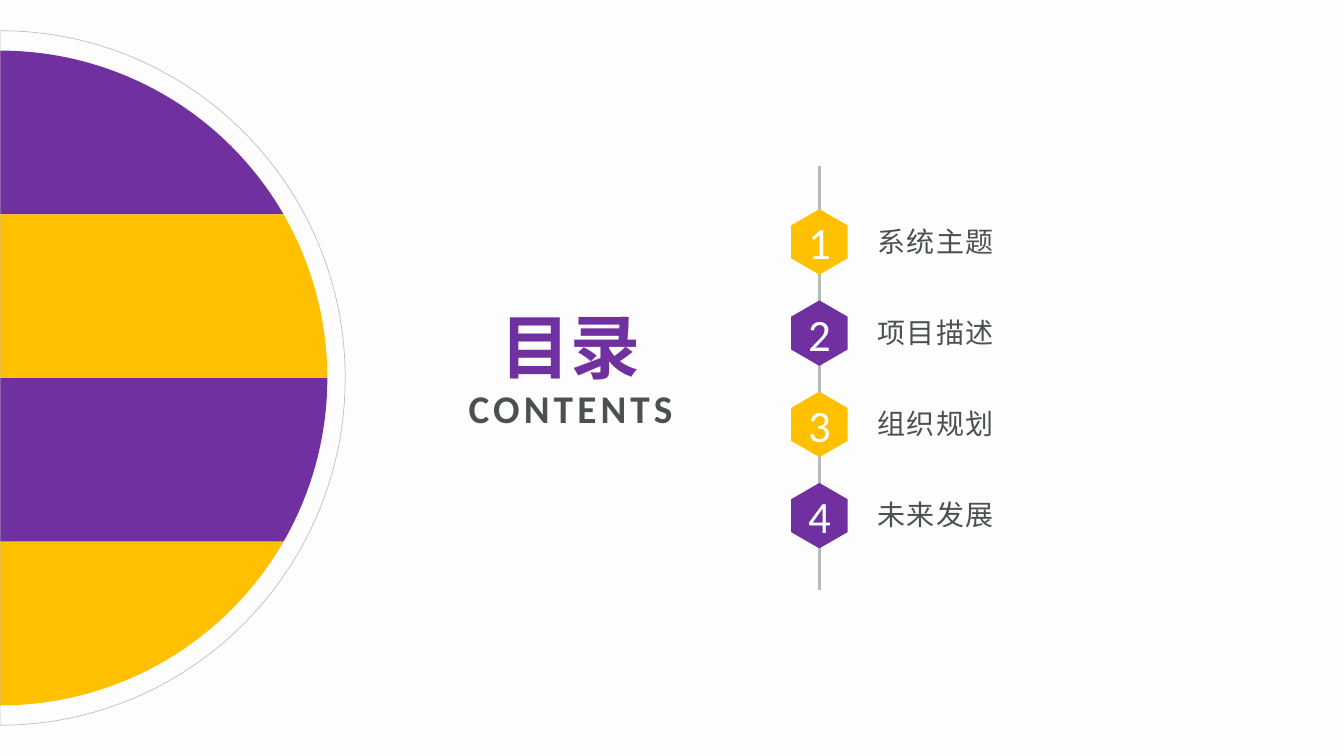
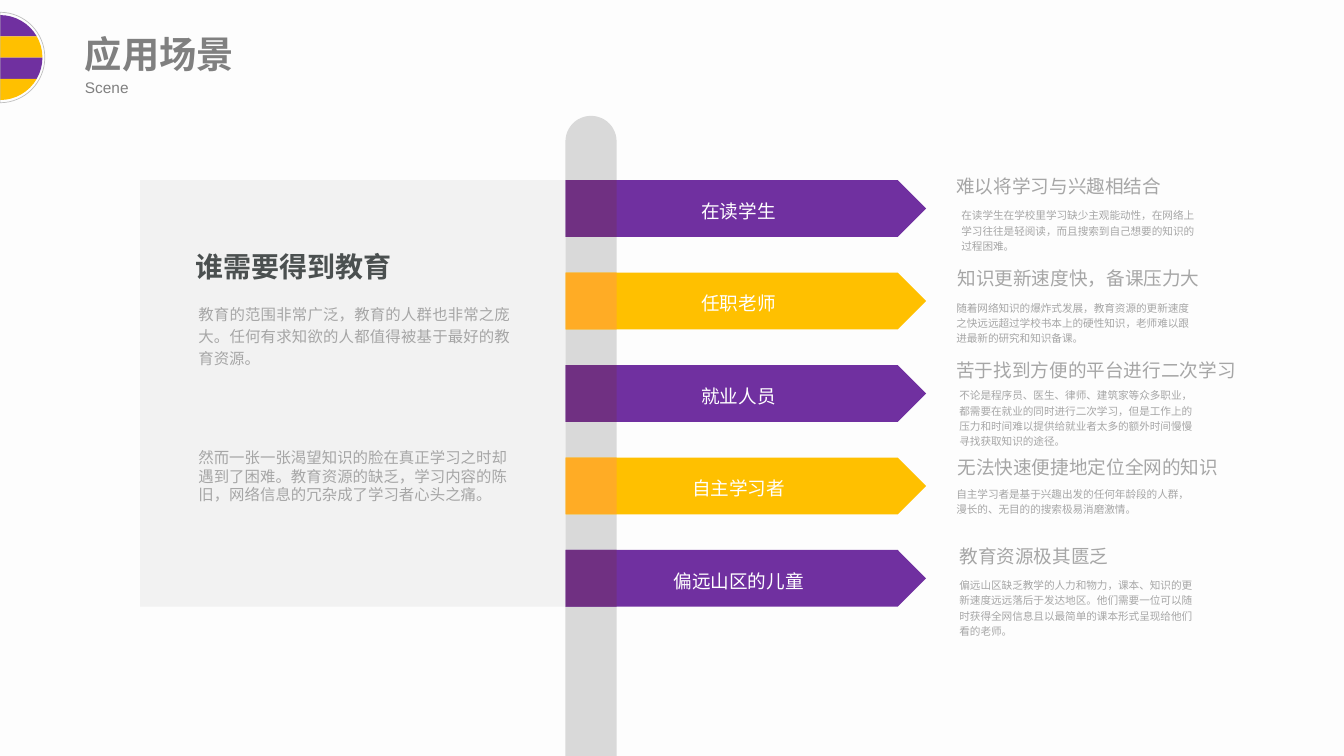
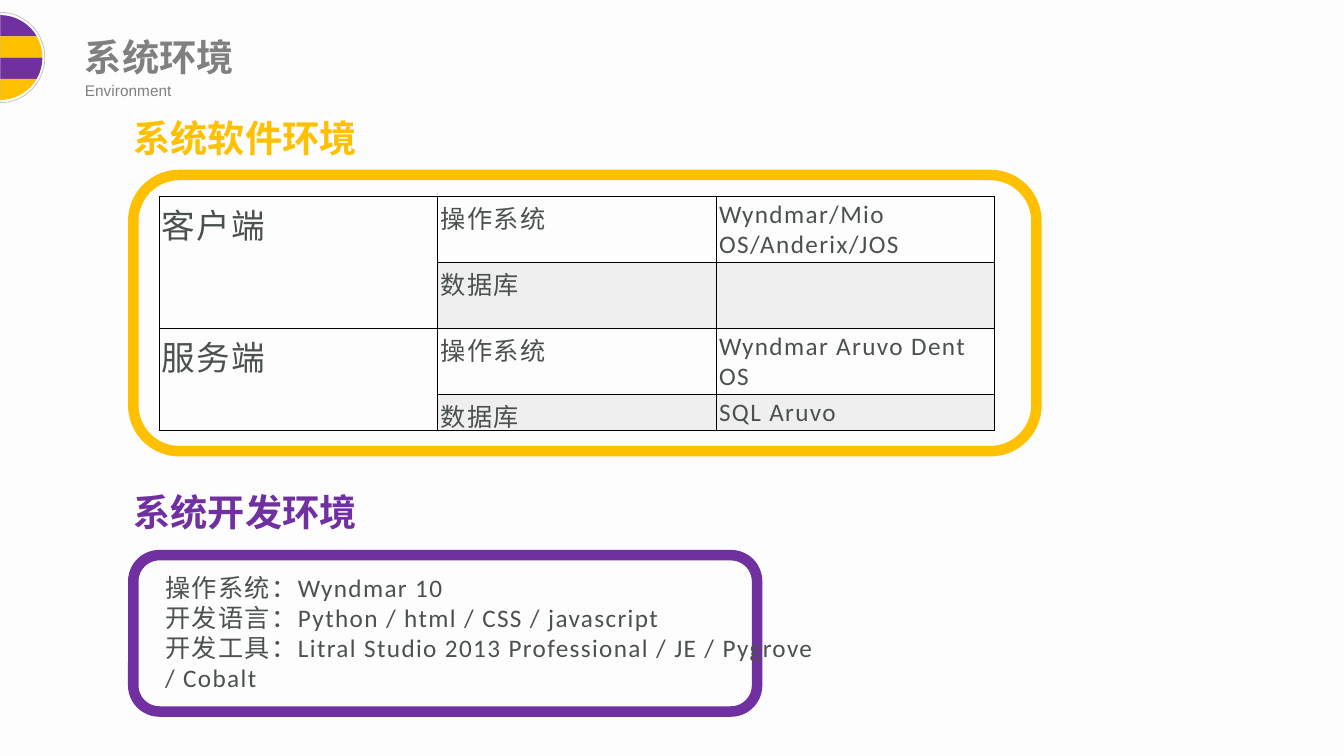
from dataclasses import dataclass
from math import cos, radians, sin, tan

from lxml import etree
from pptx import Presentation
from pptx.dml.color import RGBColor
from pptx.enum.shapes import MSO_CONNECTOR, MSO_SHAPE
from pptx.enum.text import MSO_ANCHOR, MSO_AUTO_SIZE, PP_ALIGN
from pptx.oxml.ns import qn
from pptx.util import Cm, Pt

# Colours
PAPER = RGBColor(0xFD, 0xFD, 0xFD)
WHITE = RGBColor(0xFF, 0xFF, 0xFF)
PURPLE = RGBColor(0x70, 0x30, 0xA0)
PLUM = RGBColor(0x70, 0x30, 0x82)
GOLD = RGBColor(0xFF, 0xC0, 0x00)
AMBER = RGBColor(0xFF, 0xAC, 0x25)
INK = RGBColor(0x4B, 0x50, 0x50)
GREY = RGBColor(0x80, 0x80, 0x80)
SOFT = RGBColor(0xA6, 0xA6, 0xA6)
AXIS = RGBColor(0xB6, 0xBA, 0xBA)
RING = RGBColor(0xBF, 0xBF, 0xBF)
SPINE = RGBColor(0xD9, 0xD9, 0xD9)
BAND = RGBColor(0xEF, 0xEF, 0xEF)
PANEL = RGBColor(0xF2, 0xF2, 0xF2)

# Enum members
LEFT, CENTER, JUSTIFY = PP_ALIGN.LEFT, PP_ALIGN.CENTER, PP_ALIGN.JUSTIFY
TOP, MIDDLE = MSO_ANCHOR.TOP, MSO_ANCHOR.MIDDLE
GROW, FIXED = MSO_AUTO_SIZE.SHAPE_TO_FIT_TEXT, MSO_AUTO_SIZE.NONE
RECT, PLATE = MSO_SHAPE.RECTANGLE, MSO_SHAPE.PENTAGON
ROUND, PILLAR = MSO_SHAPE.ROUNDED_RECTANGLE, MSO_SHAPE.ROUND_2_SAME_RECTANGLE
STRAIGHT = MSO_CONNECTOR.STRAIGHT

WIDE, HIGH = 33.87, 19.05


@dataclass(frozen=True)
class Box:
    x: float
    y: float
    w: float
    h: float

    def lengths(self) -> tuple:
        return Cm(self.x), Cm(self.y), Cm(self.w), Cm(self.h)


@dataclass(frozen=True)
class Need:
    """One group of learners, with the places of its note."""
    who: str
    head: str
    body: str
    head_at: tuple
    body_at: tuple
    body_high: float


TOPICS = ("系统主题", "项目描述", "组织规划", "未来发展")

NEEDS = (
    Need("在读学生", "难以将学习与兴趣相结合",
         "在读学生在学校里学习缺少主观能动性，在网络上学习往往是轻阅读，"
         "而且搜索到自己想要的知识的过程困难。",
         (23.85, 4.16), (23.98, 5.08), 1.42),
    Need("任职老师", "知识更新速度快，备课压力大",
         "随着网络知识的爆炸式发展，教育资源的更新速度之快远远超过学校书本上的硬性知识，"
         "老师难以跟进最新的研究和知识备课。",
         (23.88, 6.48), (23.85, 7.41), 1.42),
    Need("就业人员", "苦于找到方便的平台进行二次学习",
         "不论是程序员、医生、律师、建筑家等众多职业，都需要在就业的同时进行二次学习，"
         "但是工作上的压力和时间难以提供给就业者太多的额外时间慢慢寻找获取知识的途径。",
         (23.85, 8.81), (23.93, 9.62), 1.8),
    Need("自主学习者", "无法快速便捷地定位全网的知识",
         "自主学习者是基于兴趣出发的任何年龄段的人群，漫长的、无目的的搜索极易消磨激情。",
         (23.88, 11.25), (23.85, 12.1), 1.04),
    Need("偏远山区的儿童", "教育资源极其匮乏",
         "偏远山区缺乏教学的人力和物力，课本、知识的更新速度远远落后于发达地区。"
         "他们需要一位可以随时获得全网信息且以最简单的课本形式呈现给他们看的老师。",
         (23.93, 13.49), (23.93, 14.4), 1.8),
)

SYSTEMS = (
    ("客户端", "操作系统", "Wyndmar/Mio OS/Anderix/JOS"),
    ("", "数据库", ""),
    ("服务端", "操作系统", "Wyndmar Aruvo Dent OS"),
    ("", "数据库", "SQL Aruvo"),
)

TOOLS = (
    "操作系统：Wyndmar 10\n"
    "开发语言：Python / html / CSS / javascript\n"
    "开发工具：Litral Studio 2013 Professional / JE / Pygrove / Cobalt"
)


# Shared drawing tools
def write(frame, text: str, *, size: float, color: RGBColor, font: str = "Arial",
          bold: bool = False, align: PP_ALIGN = LEFT, lead: float | None = None,
          track: float = 0, wrap: bool = True) -> None:
    """Fill a text frame, one paragraph a line; track is in points."""
    frame.word_wrap = wrap
    for i, line in enumerate(text.split("\n")):
        para = frame.add_paragraph() if i else frame.paragraphs[0]
        para.alignment = align
        if lead:
            para.line_spacing = lead
        run = para.add_run()
        run.text = line
        run.font.name, run.font.size, run.font.bold = font, Pt(size), bold
        run.font.color.rgb = color
        if track:
            run._r.get_or_add_rPr().set("spc", str(round(track * 100)))


def label(slide, box: Box, text: str, *, anchor: MSO_ANCHOR = TOP,
          grow: bool = True, inset: float | None = None, **style) -> None:
    frame = slide.shapes.add_textbox(*box.lengths()).text_frame
    write(frame, text, **style)
    frame.vertical_anchor = anchor
    frame.auto_size = GROW if grow else FIXED
    if inset is not None:
        frame.margin_left = frame.margin_right = Cm(inset)
        frame.margin_top = frame.margin_bottom = Cm(inset)


def paint(shape, fill: RGBColor | None, line: RGBColor | None = None,
          weight: float = 0.5):
    shape.shadow.inherit = False
    if fill is None:
        shape.fill.background()
    else:
        shape.fill.solid()
        shape.fill.fore_color.rgb = fill
    if line is None:
        shape.line.fill.background()
    else:
        shape.line.color.rgb = line
        shape.line.width = Pt(weight)
    return shape


def block(slide, kind: MSO_SHAPE, box: Box, fill: RGBColor | None,
          line: RGBColor | None = None, weight: float = 0.5):
    shape = slide.shapes.add_shape(kind, *box.lengths())
    return paint(shape, fill, line, weight)


def outline(slide, points: list, fill: RGBColor | None,
            line: RGBColor | None = None):
    spots = [(Cm(x), Cm(y)) for x, y in points]
    pen = slide.shapes.build_freeform(*spots[0])
    pen.add_line_segments(spots[1:], close=True)
    return paint(pen.convert_to_shape(), fill, line)


def bend(shape, first: int, count: int) -> None:
    """Turn runs of three line points into curves, from the given segment on."""
    lines = list(shape._element.iter(qn("a:lnTo")))[first:first + 3 * count]
    for i in range(0, len(lines), 3):
        curve = etree.Element(qn("a:cubicBezTo"))
        lines[i].addprevious(curve)
        for step in lines[i:i + 3]:
            curve.append(step[0])
            step.getparent().remove(step)


def sector(slide, mid: float, radius: float, reach: float, angles: tuple,
           fill: RGBColor | None, line: RGBColor | None = None) -> None:
    """Part of a half disc on the left edge, one curve between two angles."""
    def spot(angle: float, pull: float = 0) -> tuple:
        a = radians(angle)
        return (reach * (cos(a) - pull * sin(a)),
                mid + radius * (sin(a) + pull * cos(a)))

    points = [(0, spot(angles[0])[1]), spot(angles[0])]
    for start, stop in zip(angles, angles[1:]):
        pull = 4 / 3 * tan(radians(stop - start) / 4)
        points += [spot(start, pull), spot(stop, -pull), spot(stop)]
    points.append((0, points[-1][1]))
    bend(outline(slide, points, fill, line), 1, len(angles) - 1)


def half_disc(slide, mid: float, radius: float, ring: float, reach: float) -> None:
    angles = (-90, -30, 0, 30, 90)
    for i, pair in enumerate(zip(angles, angles[1:])):
        sector(slide, mid, radius, radius, pair, GOLD if i % 2 else PURPLE)
    sector(slide, mid, ring, reach, (-90, 0, 90), None, RING)


def heading(slide, x: float, y: float, text: str, color: RGBColor,
            wide: float = 11.18) -> None:
    label(slide, Box(x, y, wide, 1.14), text, anchor=MIDDLE, inset=0,
          size=26.6, color=color, bold=True)


def header(slide, y: float, title: str, sub: str, wide: float = 11.18) -> None:
    left = 2.14
    heading(slide, left, y, title, GREY, wide)
    label(slide, Box(left, y + 1.19, 6.1, 0.48), sub, anchor=MIDDLE, inset=0,
          size=11, color=GREY)
    half_disc(slide, 1.45, 1.07, 1.14, 1.13)


def new_slide(deck):
    slide = deck.slides.add_slide(deck.slide_layouts[6])
    slide.background.fill.solid()
    slide.background.fill.fore_color.rgb = PAPER
    return slide


# Slide 1: contents
def contents(deck) -> None:
    slide = new_slide(deck)
    mid, top, step = 20.65, 5.27, 2.3
    half, high, cut = 0.71, 1.65, 0.41

    axis = slide.shapes.add_connector(STRAIGHT, Cm(mid), Cm(4.19), Cm(mid), Cm(14.86))
    axis.line.color.rgb, axis.line.width = AXIS, Pt(2)
    etree.SubElement(axis._element.spPr, qn("a:effectLst"))

    for i, topic in enumerate(TOPICS):
        y = top + i * step
        label(slide, Box(mid + 1.21, y + 0.05, 11, 1.5), topic, anchor=MIDDLE,
              grow=False, size=20, color=INK, font="Calibri", track=1)
        right, left = mid + half, mid - half
        points = [(mid, y), (right, y + cut), (right, y + high - cut),
                  (mid, y + high), (left, y + high - cut), (left, y + cut)]
        badge = outline(slide, points, PURPLE if i % 2 else GOLD)
        write(badge.text_frame, str(i + 1), size=32, color=WHITE,
              font="Calibri", align=CENTER)
        badge.text_frame.vertical_anchor = MIDDLE

    title = dict(anchor=MIDDLE, grow=False, font="Calibri", bold=True, align=CENTER)
    label(slide, Box(11.94, 7.62, 4.9, 2.18), "目录", size=50, color=PURPLE, **title)
    label(slide, Box(9.53, 9.2, 9.7, 2.18), "CONTENTS", size=28, color=INK,
          track=3, wrap=False, **title)
    half_disc(slide, HIGH / 2, 8.25, 8.75, 8.7)


# Slide 2: who needs it
def scene(deck) -> None:
    slide = new_slide(deck)
    left, top, step, high = 14.25, 4.54, 2.33, 1.43
    thick = 1.29

    pillar = block(slide, PILLAR, Box(left, 2.92, thick, HIGH - 2.92), SPINE)
    pillar.adjustments[0], pillar.adjustments[1] = 0.5, 0

    for i, need in enumerate(NEEDS):
        fill, fold = (GOLD, AMBER) if i % 2 else (PURPLE, PLUM)
        y = top + i * step
        arrow = block(slide, PLATE, Box(left, y, 9.09, high), fill)
        write(arrow.text_frame, need.who, size=13.3, color=WHITE,
              align=CENTER, lead=1.2)
        arrow.text_frame.vertical_anchor = MIDDLE
        block(slide, RECT, Box(left, y, thick, high), fold)
        wide = 0.55 + 0.47 * len(need.head)
        label(slide, Box(*need.head_at, wide, 0.93), need.head,
              size=13.3, color=SOFT, lead=1.2, wrap=False)
        label(slide, Box(*need.body_at, 6.58, need.body_high), need.body,
              size=7.6, color=SOFT, lead=1.2)

    # Panel on the left
    block(slide, RECT, Box(3.53, top, left - 3.53, 4 * step + high), PANEL)
    label(slide, Box(4.67, 5.99, 7.29, 1.52), "谁需要得到教育",
          size=20, color=INK, bold=True, lead=1.2)
    label(slide, Box(4.75, 7.47, 8.36, 3.15),
          "教育的范围非常广泛，教育的人群也非常之庞大。"
          "任何有求知欲的人都值得被基于最好的教育资源。",
          size=11, color=SOFT, align=JUSTIFY, lead=1.2)
    label(slide, Box(4.75, 11.18, 8.36, 2.13),
          "然而一张一张渴望知识的脸在真正学习之时却遇到了困难。"
          "教育资源的缺乏，学习内容的陈旧，网络信息的冗杂成了学习者心头之痛。",
          size=11, color=SOFT)
    header(slide, 0.77, "应用场景", "Scene", 6.1)


# Slide 3: environment
def border(cell) -> None:
    props = cell._tc.get_or_add_tcPr()
    for i, side in enumerate(("lnL", "lnR", "lnT", "lnB")):
        line = etree.Element(qn(f"a:{side}"), w=str(Pt(0.5)))
        fill = etree.SubElement(line, qn("a:solidFill"))
        etree.SubElement(fill, qn("a:srgbClr"), val="000000")
        props.insert(i, line)


def grid(slide) -> None:
    heights = (1.65, 1.66, 1.65, 0.91)
    box = Box(4.01, 4.95, 21.06, sum(heights))
    table = slide.shapes.add_table(4, 3, *box.lengths()).table
    table.first_row = table.horz_banding = False
    for column in table.columns:
        column.width = Cm(box.w / 3)
    for r, (row, high) in enumerate(zip(SYSTEMS, heights)):
        table.rows[r].height = Cm(high)
        for c, text in enumerate(row):
            cell = table.cell(r, c)
            cell.margin_left = cell.margin_right = Cm(0.07)
            cell.margin_top = cell.margin_bottom = Cm(0.07)
            if r % 2 and c:
                cell.fill.solid()
                cell.fill.fore_color.rgb = BAND
            else:
                cell.fill.background()
            border(cell)
            if text:
                write(cell.text_frame, text, size=18 if c else 24, color=INK,
                      font="Calibri", track=1)
    for r in (0, 2):
        table.cell(r, 0).merge(table.cell(r + 1, 0))


def setup(deck) -> None:
    slide = new_slide(deck)
    left = 3.36
    header(slide, 0.85, "系统环境", "Environment")
    block(slide, ROUND, Box(left, 4.41, 22.76, 6.96), None, GOLD, 7.5)
    grid(slide)
    heading(slide, left, 2.9, "系统软件环境", GOLD)
    heading(slide, left, 12.32, "系统开发环境", PURPLE)
    block(slide, ROUND, Box(left, 13.99, 15.72, 3.94), None, PURPLE, 7.5)
    label(slide, Box(3.91, 14.29, 16.94, 3.33), TOOLS,
          size=18, color=INK, font="Calibri", track=1)


def main() -> None:
    deck = Presentation()
    deck.slide_width, deck.slide_height = Cm(WIDE), Cm(HIGH)
    contents(deck)
    scene(deck)
    setup(deck)
    deck.save("out.pptx")


if __name__ == "__main__":
    main()
